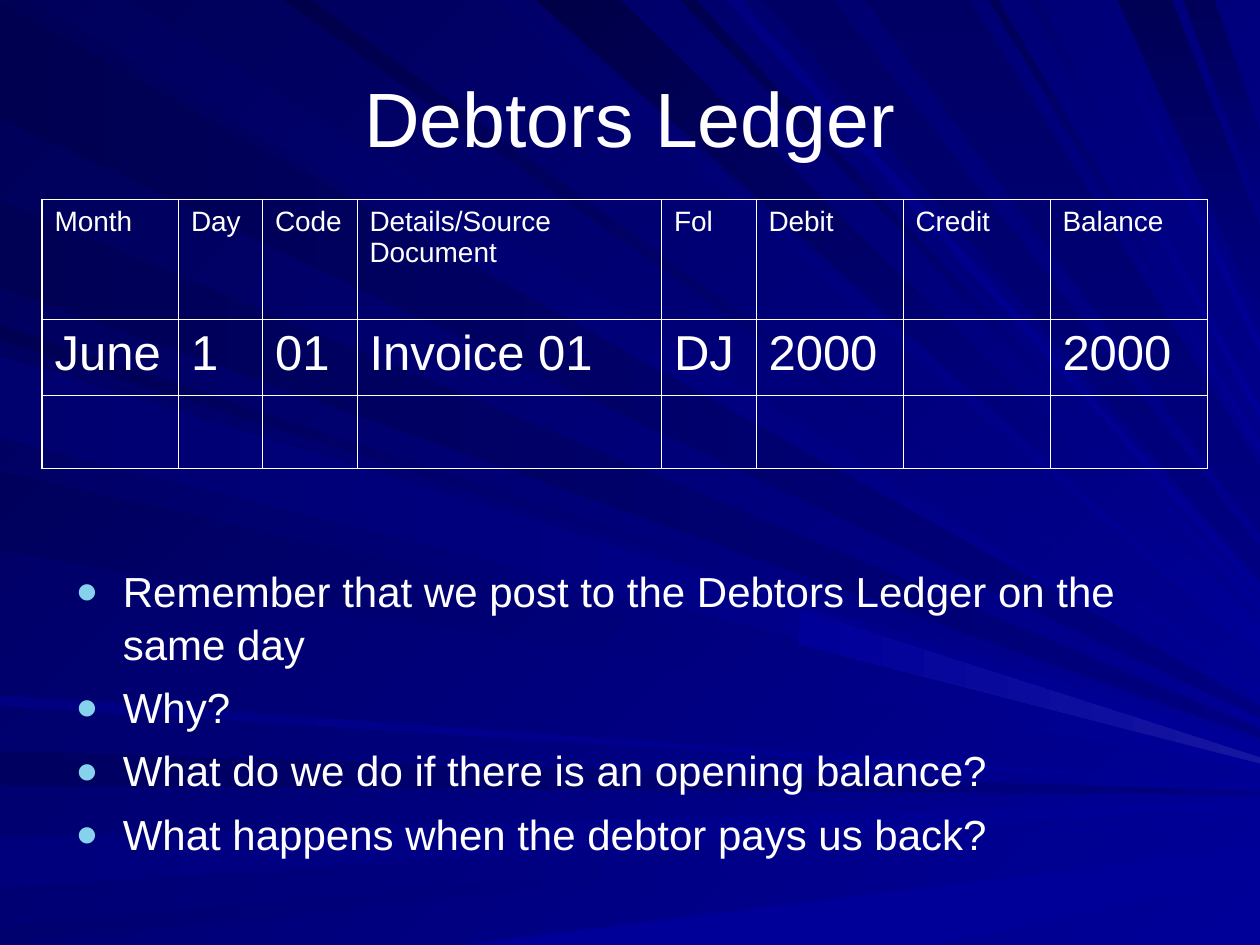
from lxml import etree
from pptx import Presentation
from pptx.dml.color import RGBColor
from pptx.enum.text import MSO_ANCHOR, MSO_AUTO_SIZE, PP_ALIGN
from pptx.oxml.ns import qn
from pptx.util import Pt

MIDDLE, TOP = MSO_ANCHOR.MIDDLE, MSO_ANCHOR.TOP
NO_FIT = MSO_AUTO_SIZE.NONE
CENTER, LEFT = PP_ALIGN.CENTER, PP_ALIGN.LEFT
FONT, WHITE, BULLET = "Arial", "FFFFFF", "86D1EC"
BRIGHT, MEDIUM, GLOW = "000099", "000080", "1616A1"
THIN, THICK = 0.45, 1.08
RAY_UNIT, RIGHT_EDGE = 0.72, 1000
ACROSS, DOWN, DIAGONAL = 180, 90, 225

LEFT_FOCUS, TOP_FOCUS = (1130, 632), (1200, 693)
LEFT_RAYS = [
    (2, 93, MEDIUM, "000051", ACROSS),
    (596, 623, MEDIUM, "000060", ACROSS),
    (665, 704, BRIGHT, "00007C", ACROSS),
    (735, 750, BRIGHT, "00006E", ACROSS),
    (258, 270, BRIGHT, "000053", DIAGONAL),
    (159, 228, MEDIUM, "000055", ACROSS),
    (278, 342, BRIGHT, "000060", DIAGONAL),
    (374, 437, BRIGHT, "00005C", DIAGONAL),
    (552, 560, BRIGHT, "000081", ACROSS),
    (283, 347, BRIGHT, "00006E", ACROSS),
]
TOP_RAYS = [
    (26, 101, BRIGHT, "00005C", DIAGONAL),
    (398, 416, BRIGHT, "00006A", DIAGONAL),
    (426, 492, BRIGHT, "000046", DIAGONAL),
    (540, 552, BRIGHT, "00004E", DIAGONAL),
    (606, 661, "000064", MEDIUM, DOWN),
    (887, 930, "000055", MEDIUM, DOWN),
    (939, 964, "000059", MEDIUM, DOWN),
    (225, 247, BRIGHT, "00004A", DIAGONAL),
    (577, 588, BRIGHT, "000081", DIAGONAL),
    (686, 770, "000064", MEDIUM, DOWN),
    (785, 792, BRIGHT, "000057", DIAGONAL),
    (815, 824, BRIGHT, "00006E", DIAGONAL),
    (865, 872, BRIGHT, "000078", DIAGONAL),
]
GLEAM = [(1000, 601), (637, 485), (633, 511), (1000, 606)]
FLOOR = [(364, 750), (1000, 672), (1000, 694), (742, 750)]

COLUMN_WIDTHS = [78, 48, 54, 174, 54, 84, 84, 90]
ROW_HEIGHTS = [68.6, 43.4, 41.8]
LEDGER = [
    ["Month", "Day", "Code", "Details/Source Document", "Fol", "Debit", "Credit", "Balance"],
    ["June", "1", "01", "Invoice 01", "DJ", "2000", "", "2000"],
    [""] * 8,
]
ROW_SIZES = [16, 28, 28]

POINTS = [
    "Remember that we post to the Debtors Ledger on the same day",
    "Why?",
    "What do we do if there is an opening balance?",
    "What happens when the debtor pays us back?",
]


def color(value):
    return RGBColor.from_string(value)


def paint(fill, start, end, angle):
    fill.gradient()
    fill.gradient_angle = 360 - angle
    for stop, value in zip(fill.gradient_stops, (start, end)):
        stop.color.rgb = color(value)


def add_span(para, text, size):
    span = para.add_run()
    span.text = text
    span.font.name = FONT
    span.font.size = Pt(size)
    span.font.color.rgb = color(WHITE)


def place(box, left, top, width, height, anchor):
    box.left, box.top, box.width, box.height = Pt(left), Pt(top), Pt(width), Pt(height)
    frame = box.text_frame
    frame.word_wrap = True
    frame.auto_size = NO_FIT
    frame.vertical_anchor = anchor
    return frame


def add_child(parent, tag, **attributes):
    return etree.SubElement(parent, qn(tag), attributes)


def meet_right_edge(start, focus):
    share = (RIGHT_EDGE - start[0]) / (focus[0] - start[0])
    return RIGHT_EDGE, start[1] + (focus[1] - start[1]) * share


def ray_outline(first, second, focus):
    return [first, meet_right_edge(first, focus), meet_right_edge(second, focus), second]


def draw_polygon(group, outline, start, end, angle):
    builder = group.shapes.build_freeform(*outline[0], scale=Pt(RAY_UNIT))
    builder.add_line_segments(outline[1:], close=True)
    polygon = builder.convert_to_shape()
    polygon.shadow.inherit = False
    polygon.line.fill.background()
    paint(polygon.fill, start, end, angle)


def draw_background(page):
    paint(page.background.fill, BRIGHT, "000057", DIAGONAL)
    group = page.shapes.add_group_shape()
    draw_polygon(group, FLOOR, BRIGHT, BRIGHT, ACROSS)
    for first, second, *shades in TOP_RAYS:
        draw_polygon(group, ray_outline((first, 0), (second, 0), TOP_FOCUS), *shades)
    for first, second, *shades in LEFT_RAYS:
        draw_polygon(group, ray_outline((0, first), (0, second), LEFT_FOCUS), *shades)
    draw_polygon(group, GLEAM, GLOW, BRIGHT, ACROSS)
    page.shapes._spTree.insert(2, group._element)


def write_title(box, left, top, width, height):
    para = place(box, left, top, width, height, MIDDLE).paragraphs[0]
    para.alignment = CENTER
    add_span(para, "Debtors Ledger", 44)


def write_points(box, left, top, width, height):
    frame = place(box, left, top, width, height, TOP)
    for index, text in enumerate(POINTS):
        para = frame.add_paragraph() if index else frame.paragraphs[0]
        props = para._p.get_or_add_pPr()
        props.set("marL", str(Pt(27)))
        props.set("indent", str(-Pt(27)))
        add_child(add_child(props, "a:buClr"), "a:srgbClr", val=BULLET)
        add_child(props, "a:buSzPct", val="90000")
        add_child(props, "a:buFont", typeface=FONT)
        add_child(props, "a:buChar", char="●")
        para.alignment = LEFT
        para.line_spacing = 1.05
        para.space_before = Pt(6 if index else 0)
        add_span(para, text, 24)


def set_borders(cell, widths):
    props = cell._tc.get_or_add_tcPr()
    for side, width in zip("LRTB", widths):
        line = add_child(props, f"a:ln{side}", w=str(Pt(width)))
        add_child(add_child(line, "a:solidFill"), "a:srgbClr", val=WHITE)


def draw_ledger(page, left, top, width, height):
    rows, columns = len(LEDGER), len(COLUMN_WIDTHS)
    table = page.shapes.add_table(rows, columns, Pt(left), Pt(top), Pt(width), Pt(height)).table
    table.first_row = table.horz_banding = False
    for column, column_width in zip(table.columns, COLUMN_WIDTHS):
        column.width = Pt(column_width)
    for r, (row_height, size) in enumerate(zip(ROW_HEIGHTS, ROW_SIZES)):
        table.rows[r].height = Pt(row_height)
        for c, text in enumerate(LEDGER[r]):
            cell = table.cell(r, c)
            edges = (c == 0, c == columns - 1, r == 0, r == rows - 1)
            set_borders(cell, [THICK if edge else THIN for edge in edges])
            cell.fill.background()
            if text:
                add_span(cell.text_frame.paragraphs[0], text, size)


def main():
    deck = Presentation()
    deck.slide_width, deck.slide_height = Pt(720), Pt(540)
    page = deck.slides.add_slide(deck.slide_layouts[1])
    draw_background(page)
    write_title(page.shapes.title, 36, 21.6, 648, 90)
    write_points(page.placeholders[1], 36, 318, 648, 172)
    draw_ledger(page, 24, 114, sum(COLUMN_WIDTHS), sum(ROW_HEIGHTS))
    deck.save("out.pptx")


if __name__ == "__main__":
    main()
